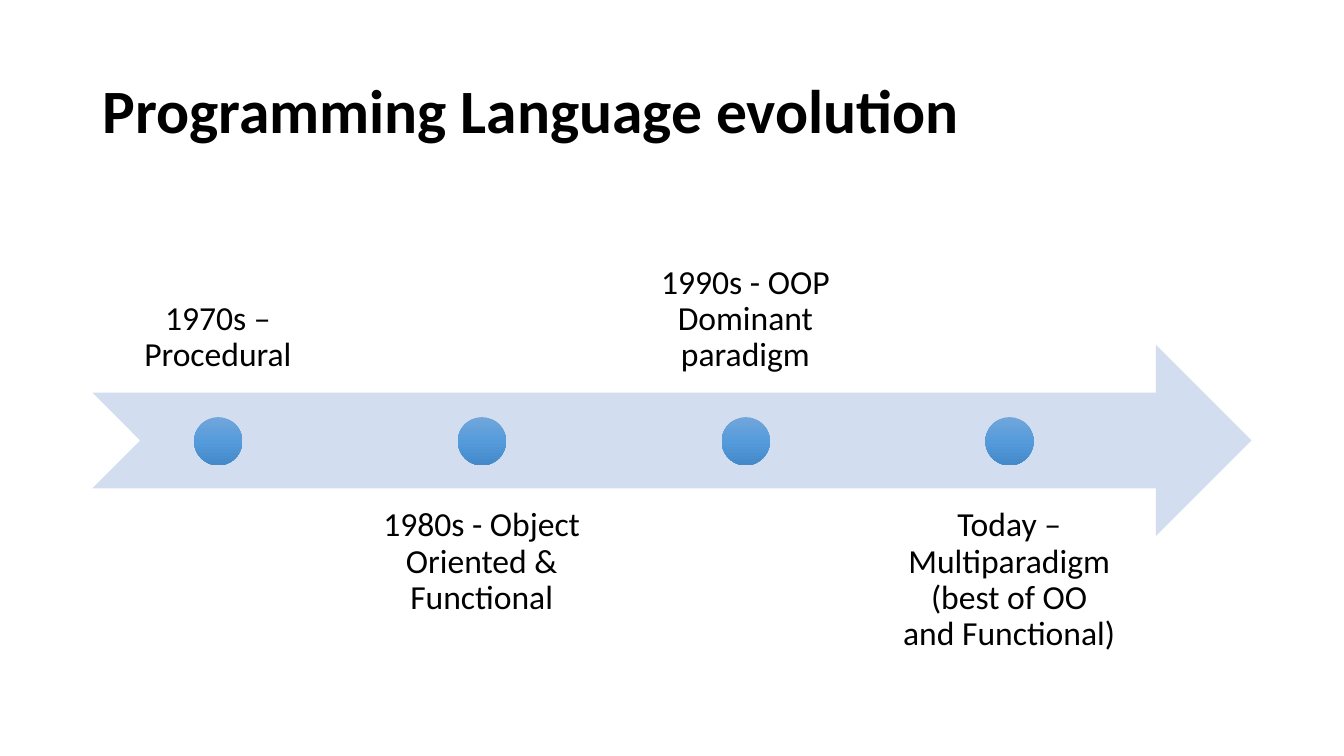
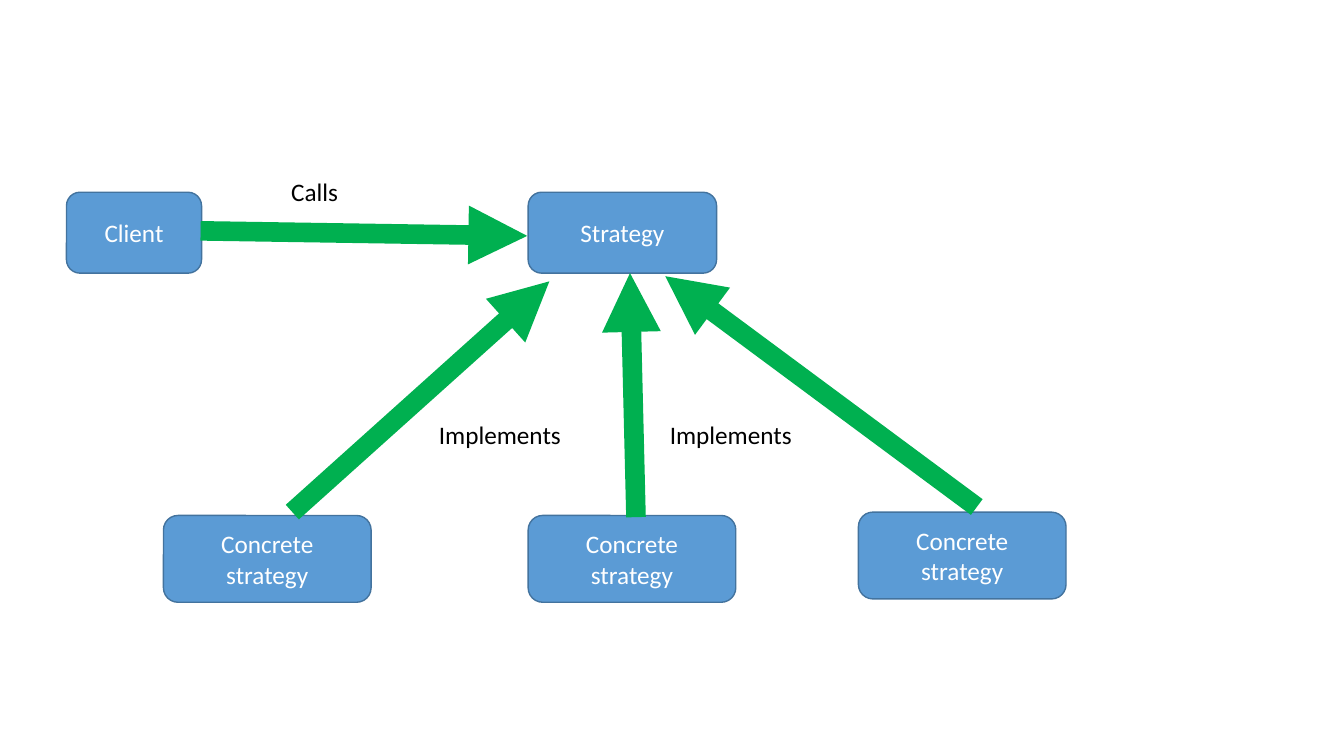
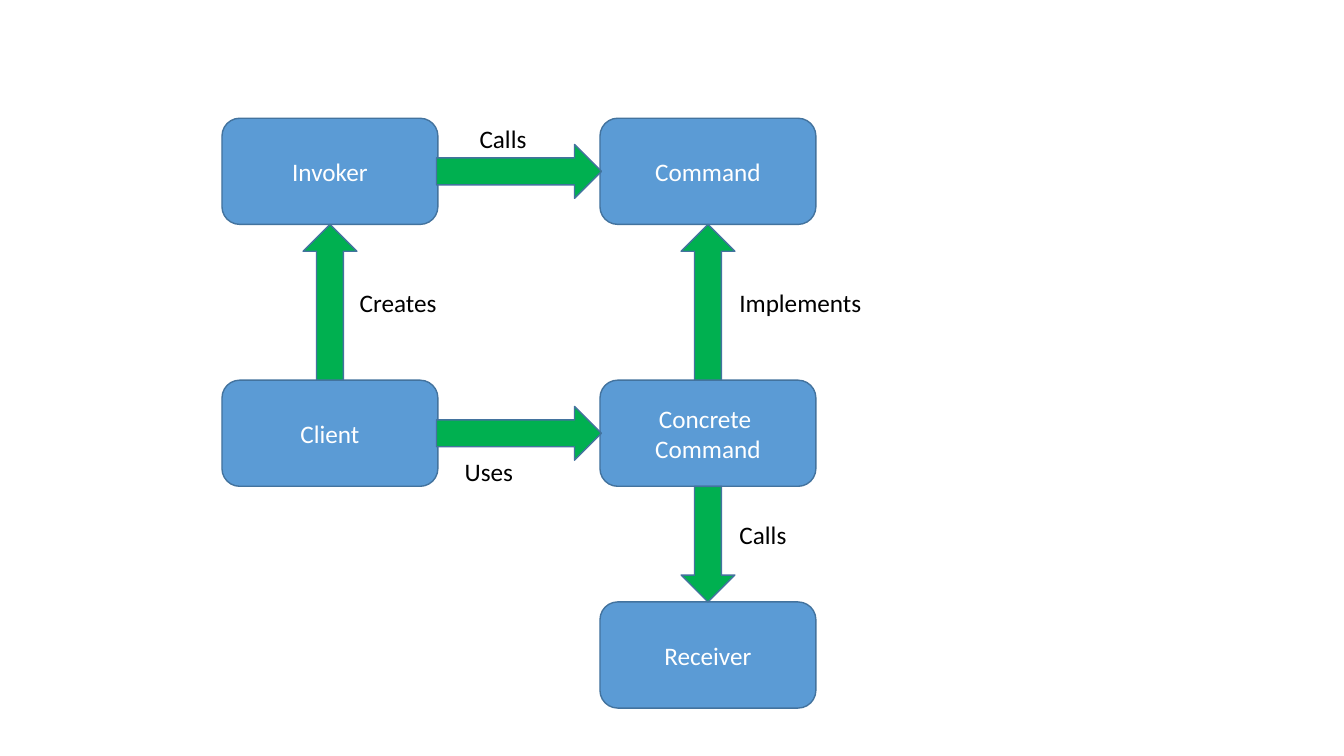
from copy import deepcopy

from lxml import etree
from pptx import Presentation
from pptx.dml.color import RGBColor
from pptx.enum import shapes, text
from pptx.oxml.ns import qn
from pptx.util import Pt

COLORS = {
    "text": "000000", "on_box": "FFFFFF", "box": "5B9BD5", "outline": "43739E",
    "arrow": "00B050", "band": "D2DEEF",
    "dot_top": "71A6DB", "dot_mid": "559BDB", "dot_low": "448ACA",
}
FONT = "Calibri"
SHAPE = shapes.MSO_SHAPE
TOP, MIDDLE, BOTTOM = text.MSO_ANCHOR.TOP, text.MSO_ANCHOR.MIDDLE, text.MSO_ANCHOR.BOTTOM
LEFT, CENTER = text.PP_ALIGN.LEFT, text.PP_ALIGN.CENTER


def rgb(name):
    """Return the named palette colour."""
    return RGBColor.from_string(COLORS[name])


class Deck:
    """Holds the shared style and the current slide; lengths are in points."""

    def __init__(self):
        """Start an empty wide presentation."""
        self.prs = Presentation()
        self.prs.slide_width, self.prs.slide_height = Pt(960), Pt(540)
        self.s = None

    def slide(self):
        """Begin a new blank slide."""
        self.s = self.prs.slides.add_slide(self.prs.slide_layouts[6])

    def put_text(self, sp, words, size=18, color="text", bold=False, align=CENTER,
                 anchor=MIDDLE, spacing=None):
        """Put styled text into a shape."""
        tf = sp.text_frame
        tf.word_wrap = True
        tf.vertical_anchor = anchor
        tf.text = words
        for p in tf.paragraphs:
            p.alignment = align
            p.line_spacing = spacing
            for r in p.runs:
                r.font.name, r.font.size, r.font.bold = FONT, Pt(size), bold
                r.font.color.rgb = rgb(color)

    def textbox(self, words, x, y, w, h, inset=None, **style):
        """Add a text box, with an equal inset on all sides if given."""
        sp = self.s.shapes.add_textbox(Pt(x), Pt(y), Pt(w), Pt(h))
        self.put_text(sp, words, **style)
        if inset is not None:
            tf = sp.text_frame
            tf.margin_left = tf.margin_right = Pt(inset)
            tf.margin_top = tf.margin_bottom = Pt(inset)

    def title(self, words):
        """Add the slide title."""
        self.textbox(words, 66, 28.8, 828, 104.4, size=44, bold=True, align=LEFT, spacing=0.9)

    def label(self, words, x, y):
        """Add a centred arrow label."""
        self.textbox(words, x, y, 216, 29, anchor=TOP)

    def shape(self, kind, x, y, w, h, fill, outline=None):
        """Add a filled preset shape."""
        sp = self.s.shapes.add_shape(kind, Pt(x), Pt(y), Pt(w), Pt(h))
        sp.shadow.inherit = False
        sp.fill.solid()
        sp.fill.fore_color.rgb = rgb(fill)
        if outline:
            sp.line.color.rgb = rgb(outline)
            sp.line.width = Pt(1)
        else:
            sp.line.fill.background()
        return sp

    def box(self, words, x, y, w, h):
        """Add a rounded box with a caption."""
        sp = self.shape(SHAPE.ROUNDED_RECTANGLE, x, y, w, h, "box", "outline")
        self.put_text(sp, words, color="on_box")

    def block_arrow(self, kind, x, y, w, h):
        """Add an outlined block arrow."""
        self.shape(kind, x, y, w, h, "arrow", "outline")

    def dot(self, x, y, size):
        """Add a timeline dot with a vertical three-stop gradient."""
        sp = self.shape(SHAPE.OVAL, x, y, size, size, "dot_mid")
        sp.fill.gradient()
        sp.fill.gradient_angle = 270
        stop_list = next(sp.element.iter(qn("a:gsLst")))
        stop_list.insert(1, deepcopy(stop_list[0]))
        for i, (stop, name) in enumerate(zip(sp.fill.gradient_stops,
                                             ("dot_top", "dot_mid", "dot_low"))):
            stop.position = i / 2
            stop.color.rgb = rgb(name)

    def thick_arrow(self, x1, y1, x2, y2):
        """Add a heavy straight arrow that points at the second end."""
        line = self.s.shapes.add_connector(
            shapes.MSO_CONNECTOR.STRAIGHT, Pt(x1), Pt(y1), Pt(x2), Pt(y2))
        line.line.color.rgb = rgb("arrow")
        line.line.width = Pt(14)
        props = line.element.spPr
        etree.SubElement(props.find(qn("a:ln")), qn("a:tailEnd"), type="triangle")
        etree.SubElement(props, qn("a:effectLst"))


def timeline(deck):
    """Build the language evolution timeline."""
    deck.slide()
    deck.title("Programming Language evolution")
    deck.shape(SHAPE.NOTCHED_RIGHT_ARROW, 66, 246.24, 828, 136.8, "band")
    eras = ("1970s – Procedural", "1980s - Object Oriented & Functional",
            "1990s - OOP Dominant paradigm",
            "Today – Multiparadigm (best of OO and Functional)")
    for i, era in enumerate(eras):
        x = 66 + 188.4 * i
        y, anchor = (349.2, TOP) if i % 2 else (144, BOTTOM)
        deck.textbox(era, x, y, 179.3, 136.8, inset=13.5, size=24, anchor=anchor, spacing=0.9)
        deck.dot(x + 72.7, 298, 34.4)


def strategy(deck):
    """Build the strategy pattern diagram."""
    deck.slide()
    deck.box("Client", 47.5, 137.3, 96.5, 57.8)
    deck.box("Strategy", 377.3, 137.3, 134.6, 57.8)
    for x, y in ((116.8, 368.2), (377.3, 368.2), (613.2, 365.8)):
        deck.box("Concrete strategy", x, y, 148.3, 62)
    for ends in ((208.8, 365.8, 392.4, 201), (454.3, 369.4, 450, 195.1),
                 (697.7, 362.2, 475.2, 197.3), (143.3, 164.9, 376.6, 168.5)):
        deck.thick_arrow(*ends)
    deck.label("Calls", 116.8, 122.4)
    for x in (249.1, 414):
        deck.label("Implements", x, 296)


def command(deck):
    """Build the command pattern diagram."""
    deck.slide()
    left, right = 158.6, 428.6
    top, middle, bottom = 84.5, 271.6, 430
    w, h, thick = 154.2, 75.8, 38.4
    for words, x, y in (("Invoker", left, top), ("Command", right, top),
                        ("Client", left, middle), ("Concrete\u00a0\nCommand", right, middle),
                        ("Receiver", right, bottom)):
        deck.box(words, x, y, w, h)
    for y in (top, middle):
        deck.block_arrow(SHAPE.RIGHT_ARROW, left + w - 1, y + (h - thick) / 2,
                         right - left - w + 2, thick)
    for x in (left, right):
        deck.block_arrow(SHAPE.UP_ARROW, x + (w - thick) / 2, top + h, thick, middle - top - h)
    deck.block_arrow(SHAPE.DOWN_ARROW, right + (w - thick) / 2, middle + h,
                     thick, bottom - middle - h)
    for words, x, y in (("Calls", 437, 367.2), ("Creates", 176.4, 201.6),
                        ("Implements", 463.7, 201.6), ("Calls", 251.3, 84.2),
                        ("Uses", 241.2, 322.6)):
        deck.label(words, x, y)


deck = Deck()
for build in (timeline, strategy, command):
    build(deck)
deck.prs.save("out.pptx")
